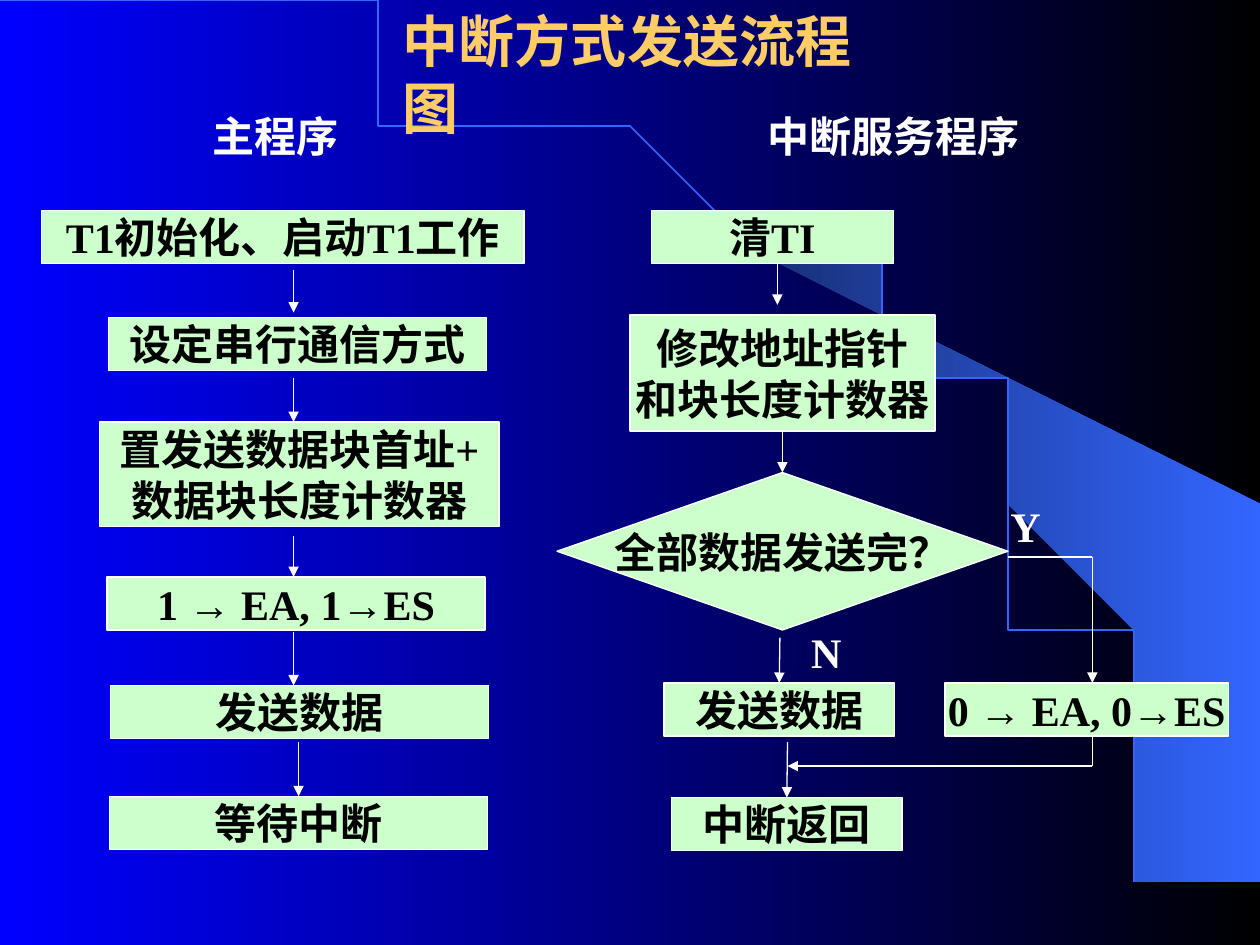
"""Build a slide with the flowcharts of interrupt-driven serial sending."""
from itertools import groupby
from math import cos, pi, sin

from lxml.etree import SubElement
from pptx import Presentation
from pptx.dml.color import RGBColor
from pptx.enum.shapes import MSO_CONNECTOR as CONNECTOR, MSO_SHAPE as SHAPE
from pptx.enum.text import MSO_ANCHOR as ANCHOR, MSO_AUTO_SIZE as AUTO_SIZE, PP_ALIGN as ALIGN
from pptx.oxml.ns import qn
from pptx.util import Inches, Pt


def color(hex_string):
    return RGBColor.from_string(hex_string)


def write(frame, text, size=24, font="Times New Roman", ink="FFFFFF", align=ALIGN.LEFT,
          anchor=ANCHOR.TOP, auto_size=AUTO_SIZE.NONE):
    frame.word_wrap = False
    frame.auto_size = auto_size
    frame.vertical_anchor = anchor
    for index, line in enumerate(text.split("\n")):
        paragraph = frame.add_paragraph() if index else frame.paragraphs[0]
        paragraph.alignment = align
        for is_arrow, letters in groupby(line, lambda letter: letter == "→"):
            run = paragraph.add_run()
            run.text = "".join(letters)
            run.font.name = "Arial" if is_arrow else font
            run.font.size = Pt(size)
            run.font.bold = True
            run.font.color.rgb = color(ink)


prs = Presentation()
prs.slide_width, prs.slide_height = Inches(10), Inches(7.5)
slide = prs.slides.add_slide(prs.slide_layouts[6])
shapes = slide.shapes

beam_points = [(9.2, 7.48), (9.99, 7.49), (9.99, 4.23), (5.89, 1.73), (6.24, 1.99), (6.53, 2.22),
               (6.85, 2.5), (7.16, 2.8), (7.62, 3.3), (8.03, 3.84), (8.32, 4.31), (8.58, 4.79),
               (8.78, 5.28), (8.93, 5.72), (9.03, 6.09), (9.13, 6.56), (9.17, 6.96)]
steps = 90
arc_points = [(9.2 * sin(pi / 2 * i / steps), 7.49 * (1 - cos(pi / 2 * i / steps)))
              for i in range(steps + 1)]
outlines = []
for points, closed in [(beam_points, True), (arc_points, False)]:
    builder = shapes.build_freeform(*points[0], scale=Inches(1))
    builder.add_line_segments(points[1:], close=closed)
    outline = builder.convert_to_shape()
    outline.shadow.inherit = False
    outlines.append(outline)
beam, arc = outlines
beam.line.fill.background()
arc.fill.background()
arc.line.color.rgb = color("3366FF")
arc.line.width = Pt(1)

for fill, ends in [(slide.background.fill, ("0000FF", "000000")),
                   (beam.fill, ("182F76", "3366FF"))]:
    fill.gradient()
    fill.gradient_angle = 0
    for stop, end in zip(fill.gradient_stops, ends):
        stop.color.rgb = color(end)

labels = [
    ("中断方式发送流程图", 3.1, 0, 4.2, 0.64, dict(size=32, font="Arial", ink="FFCC66")),
    ("主程序", 1.59, 0.83, 1.2, 0.5, {}),
    ("中断服务程序", 5.99, 0.83, 2.2, 0.5, {}),
    ("Y", 7.92, 3.92, 0.5, 0.5, {}),
    ("N", 6.34, 4.92, 0.5, 0.5, {}),
]
for text, left, top, width, height, style in labels:
    label = shapes.add_textbox(Inches(left), Inches(top), Inches(width), Inches(height))
    write(label.text_frame, text, auto_size=AUTO_SIZE.SHAPE_TO_FIT_TEXT, **style)

process, decision = SHAPE.FLOWCHART_PROCESS, SHAPE.FLOWCHART_DECISION
stages = [
    ("init", "T1初始化、启动T1工作", 0.33, 1.67, 3.83, 0.42, process),
    ("mode", "设定串行通信方式", 0.86, 2.52, 3, 0.42, process),
    ("block", "置发送数据块首址+\n数据块长度计数器", 0.79, 3.35, 3.17, 0.83, process),
    ("enable", "1 → EA, 1→ES", 0.85, 4.58, 3, 0.42, process),
    ("send", "发送数据", 0.88, 5.44, 3, 0.42, process),
    ("wait", "等待中断", 0.87, 6.32, 3, 0.42, process),
    ("clear", "清TI", 5.17, 1.67, 1.92, 0.42, process),
    ("update", "修改地址指针\n和块长度计数器", 5, 2.5, 2.42, 0.92, process),
    ("done", "全部数据发送完？", 4.42, 3.75, 3.58, 1.25, decision),
    ("resend", "发送数据", 5.27, 5.42, 1.83, 0.42, process),
    ("disable", "0 → EA, 0→ES", 7.5, 5.42, 2.25, 0.42, process),
    ("return", "中断返回", 5.33, 6.33, 1.83, 0.42, process),
]
boxes = {}
for key, text, left, top, width, height, kind in stages:
    box = shapes.add_shape(kind, Inches(left), Inches(top), Inches(width), Inches(height))
    box.shadow.inherit = False
    box.fill.solid()
    box.fill.fore_color.rgb = color("CCFFCC")
    box.line.color.rgb = color("FFFFFF")
    box.line.width = Pt(0.75)
    write(box.text_frame, text, ink="000000", align=ALIGN.CENTER, anchor=ANCHOR.MIDDLE)
    boxes[key] = box

TOP, BOTTOM = 0, 2
flows = [
    (2.33, 2.14, 2.33, 2.48, True, None, None),
    (2.33, 3, 2.33, 3.35, True, None, None),
    (2.33, 4.25, 2.33, 4.58, True, None, None),
    (2.33, 5.02, 2.33, 5.44, True, None, None),
    (2.37, 5.89, 2.37, 6.32, True, None, "wait"),
    (6.17, 2.09, 6.17, 2.42, True, None, None),
    (6.21, 3.42, 6.21, 3.75, True, "update", "done"),
    (6.19, 5.06, 6.19, 5.42, True, None, "resend"),
    (6.25, 5.89, 6.25, 6.33, True, None, "return"),
    (8, 4.42, 8.67, 4.42, False, None, None),
    (8.67, 4.42, 8.67, 5.42, True, None, None),
    (8.67, 5.84, 8.67, 6.08, False, None, None),
    (8.67, 6.08, 6.25, 6.08, True, None, None),
]
for x1, y1, x2, y2, has_arrow, source, target in flows:
    flow = shapes.add_connector(CONNECTOR.STRAIGHT, Inches(x1), Inches(y1), Inches(x2), Inches(y2))
    flow.line.color.rgb = color("FFFFFF")
    flow.line.width = Pt(0.75)
    if has_arrow:
        SubElement(flow.line._get_or_add_ln(), qn("a:tailEnd"), type="triangle")
    SubElement(flow._element.spPr, qn("a:effectLst"))
    if source:
        flow.begin_connect(boxes[source], BOTTOM)
    if target:
        flow.end_connect(boxes[target], TOP)

prs.save("out.pptx")
